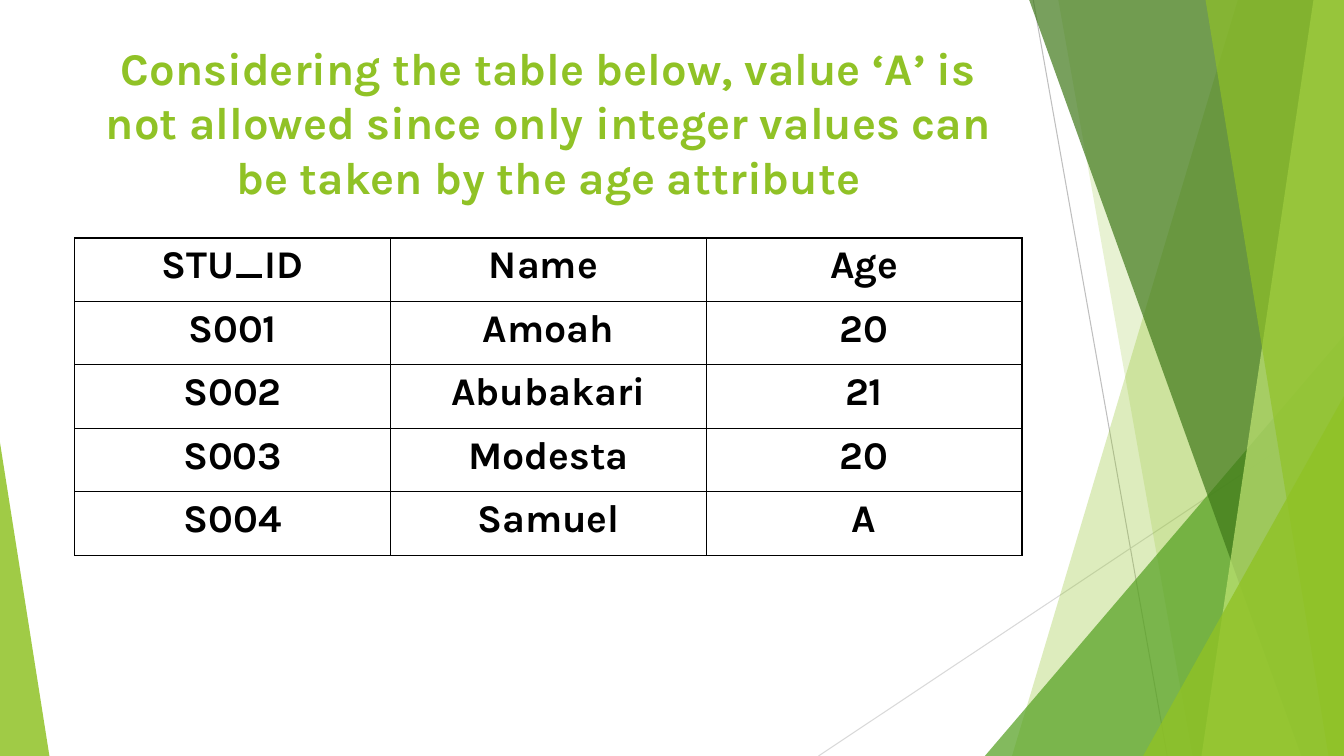
from dataclasses import dataclass
from typing import Any

import lxml.etree
import pptx
import pptx.dml.color
import pptx.enum.shapes
import pptx.enum.text
import pptx.oxml
import pptx.oxml.ns
import pptx.util

WIDTH, HEIGHT = pptx.util.Inches(13.333), pptx.util.Inches(7.5)
GREEN, BLACK = "90C226", "000000"
MARGIN, CONTENT_WIDTH = 5.55, 70.5
TITLE = ("Considering the table below, value ‘A’ is not allowed since only "
         "integer values can be taken by the age attribute")
STUDENTS = [
    ("STU_ID", "Name ", "Age"),
    ("S001", "Amoah", "20"),
    ("S002", "Abubakari", "21"),
    ("S003", "Modesta", "20"),
    ("S004", "Samuel", "A"),
]


@dataclass
class Ray:
    start: tuple[float, float]
    end: tuple[float, float]
    color: str


@dataclass
class Band:
    """Full-height facet from a slanted left edge to the slide's right edge."""
    top_left: float
    bottom_left: float
    color: str
    opacity: int


@dataclass
class Corner:
    """Right triangle standing on the slide's bottom edge."""
    left: float
    top: float
    width: float
    apex: float
    color: str
    opacity: int


RAYS = [
    Ray((76.88, 0), (86.85, 100), "BFBFBF"),
    Ray((100, 53.73), (60.9, 100), "D9D9D9"),
]
FACETS = [
    Band(92.1, 75.3, GREEN, 30),
    Band(78.75, 88.73, GREEN, 20),
    Corner(73.28, 44.4, 26.72, 1, "54A021", 72),
    Band(76.58, 96.83, "3F7819", 70),
    Band(97.73, 89.4, "C0E474", 70),
    Band(89.7, 98.85, GREEN, 65),
    Corner(85.05, 52.4, 14.95, 1, GREEN, 80),
    Corner(0, 58.53, 3.68, 0, GREEN, 85),
]


def across(percent: float) -> int:
    return round(WIDTH * percent / 100)


def down(percent: float) -> int:
    return round(HEIGHT * percent / 100)


def rgb(color: str) -> pptx.dml.color.RGBColor:
    return pptx.dml.color.RGBColor.from_string(color)


def set_all(target: Any, values: dict[str, Any]) -> None:
    for name, value in values.items():
        setattr(target, name, value)


def draw_ray(slide: Any, ray: Ray) -> None:
    connector = slide.shapes.add_connector(
        pptx.enum.shapes.MSO_CONNECTOR.STRAIGHT,
        across(ray.start[0]), down(ray.start[1]), across(ray.end[0]), down(ray.end[1]))
    connector.line.color.rgb = rgb(ray.color)
    connector.line.width = pptx.util.Pt(0.75)
    lxml.etree.SubElement(connector._element.spPr, pptx.oxml.ns.qn("a:effectLst"))


def draw_facet(slide: Any, facet: Band | Corner) -> None:
    if isinstance(facet, Band):
        builder = slide.shapes.build_freeform(across(facet.top_left), 0)
        builder.add_line_segments(
            [(WIDTH, 0), (WIDTH, HEIGHT), (across(facet.bottom_left), HEIGHT)], close=True)
        shape = builder.convert_to_shape()
    else:
        shape = slide.shapes.add_shape(
            pptx.enum.shapes.MSO_SHAPE.ISOSCELES_TRIANGLE, across(facet.left),
            down(facet.top), across(facet.width), down(100 - facet.top))
        shape.adjustments[0] = facet.apex
    shape.shadow.inherit = False
    shape.line.fill.background()
    shape.fill.solid()
    shape.fill.fore_color.rgb = rgb(facet.color)
    color = shape._element.spPr.find(".//" + pptx.oxml.ns.qn("a:srgbClr"))
    lxml.etree.SubElement(color, pptx.oxml.ns.qn("a:alpha"), val=str(facet.opacity * 1000))


def write(text_frame: Any, text: str, size: float, color: str) -> None:
    paragraph = text_frame.paragraphs[0]
    paragraph.alignment = pptx.enum.text.PP_ALIGN.CENTER
    run = paragraph.add_run()
    run.text = text
    set_all(run.font, {"name": "Karla", "size": pptx.util.Pt(size), "bold": True})
    run.font.color.rgb = rgb(color)


def draw_title(slide: Any) -> None:
    box = slide.shapes.add_textbox(
        across(MARGIN), down(4), across(CONTENT_WIDTH), down(24.13))
    set_all(box.text_frame, {
        "word_wrap": True,
        "vertical_anchor": pptx.enum.text.MSO_ANCHOR.MIDDLE,
    })
    write(box.text_frame, TITLE, 32.4, GREEN)


def add_borders(cell: Any) -> None:
    properties = cell._tc.get_or_add_tcPr()
    for side in "LRTB":
        properties.append(pptx.oxml.parse_xml(
            f'<a:ln{side} {pptx.oxml.ns.nsdecls("a")} w="{pptx.util.Pt(1)}">'
            f'<a:solidFill><a:srgbClr val="{BLACK}"/></a:solidFill></a:ln{side}>'))


def draw_table(slide: Any) -> None:
    table = slide.shapes.add_table(
        len(STUDENTS), len(STUDENTS[0]),
        across(MARGIN), down(31.47), across(CONTENT_WIDTH), down(42)).table
    set_all(table, {"first_row": False, "horz_banding": False})
    for row, values in enumerate(STUDENTS):
        for column, value in enumerate(values):
            cell = table.cell(row, column)
            add_borders(cell)
            cell.fill.background()
            write(cell.text_frame, value, 28, BLACK)


def main() -> None:
    presentation = pptx.Presentation()
    set_all(presentation, {"slide_width": WIDTH, "slide_height": HEIGHT})
    slide = presentation.slides.add_slide(presentation.slide_layouts[6])
    for ray in RAYS:
        draw_ray(slide, ray)
    for facet in FACETS:
        draw_facet(slide, facet)
    draw_title(slide)
    draw_table(slide)
    presentation.save("out.pptx")


if __name__ == "__main__":
    main()
